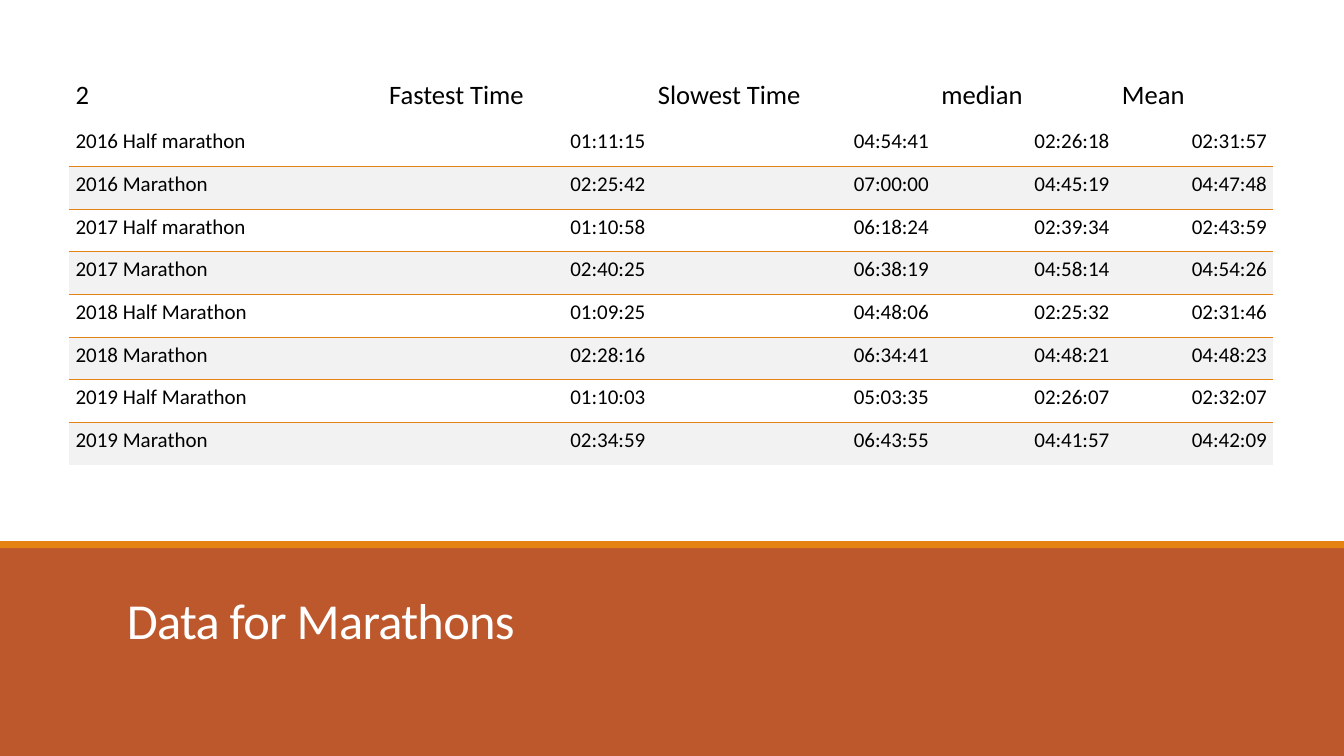
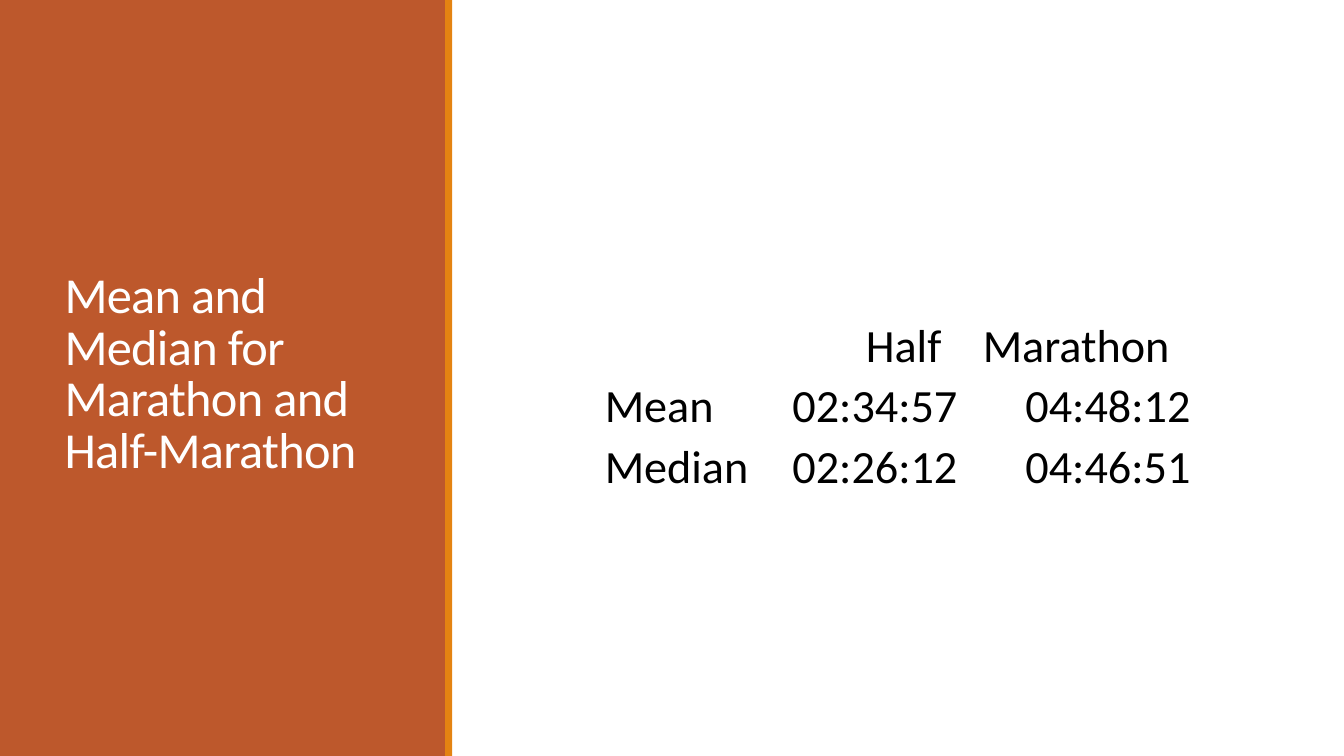
from dataclasses import dataclass
from itertools import accumulate

from lxml.etree import SubElement
from pptx import Presentation
from pptx.dml.color import RGBColor
from pptx.enum.shapes import MSO_SHAPE
from pptx.enum.text import MSO_ANCHOR, PP_ALIGN
from pptx.oxml import parse_xml
from pptx.oxml.ns import nsdecls, qn
from pptx.slide import Slide
from pptx.table import _Cell
from pptx.text.text import TextFrame
from pptx.util import Pt

EMU_PER_PX = 6350  # 144 px to the inch
SLIDE_WIDTH, SLIDE_HEIGHT = 1920, 1080
ACCENT_THICKNESS = 10
FONT = "Calibri"
NO_GRID_STYLE = "{2D5ABB26-0587-4C30-8999-92F81FD0307C}"
COLORS = {
    "band": "BD582C",
    "accent": "E48312",
    "stripe": "F2F2F2",
    "title": "FFFFFF",
    "text": "000000",
}


def px(length: int) -> int:
    return length * EMU_PER_PX


@dataclass(frozen=True)
class Box:
    left: int
    top: int
    width: int
    height: int

    def emu(self) -> tuple[int, int, int, int]:
        return px(self.left), px(self.top), px(self.width), px(self.height)


@dataclass(frozen=True)
class TableDesign:
    """Lengths are px; insets run left, top, right, bottom."""
    left: int
    top: int
    columns: tuple[int, ...]
    header_height: int
    row_height: int
    insets: tuple[int, int, int, int]
    header_size: int
    body_size: int
    header_indents: tuple[int, ...]
    striped: bool = False


@dataclass(frozen=True)
class TitledSlide:
    band: Box
    accent: Box
    title_box: Box
    title_anchor: MSO_ANCHOR
    title: str
    table: TableDesign
    rows: tuple[tuple[str, ...], ...]


SLIDES = (
    TitledSlide(
        band=Box(0, 781, SLIDE_WIDTH, 299),
        accent=Box(0, 773, SLIDE_WIDTH, ACCENT_THICKNESS),
        title_box=Box(167, 806, 1584, 130),
        title_anchor=MSO_ANCHOR.BOTTOM,
        title="Data for Marathons",
        table=TableDesign(
            left=99, top=105, columns=(448, 384, 405, 258, 225),
            header_height=72, row_height=61, insets=(9, 1, 9, 17),
            header_size=19, body_size=15,
            header_indents=(0, 0, 0, 0, 0), striped=True,
        ),
        rows=(
            ("2", "Fastest Time", "Slowest Time", "median", "Mean"),
            ("2016 Half marathon", "01:11:15", "04:54:41", "02:26:18", "02:31:57"),
            ("2016 Marathon", "02:25:42", "07:00:00", "04:45:19", "04:47:48"),
            ("2017 Half marathon", "01:10:58", "06:18:24", "02:39:34", "02:43:59"),
            ("2017 Marathon", "02:40:25", "06:38:19", "04:58:14", "04:54:26"),
            ("2018 Half Marathon", "01:09:25", "04:48:06", "02:25:32", "02:31:46"),
            ("2018 Marathon", "02:28:16", "06:34:41", "04:48:21", "04:48:23"),
            ("2019 Half Marathon", "01:10:03", "05:03:35", "02:26:07", "02:32:07"),
            ("2019 Marathon", "02:34:59", "06:43:55", "04:41:57", "04:42:09"),
        ),
    ),
    TitledSlide(
        band=Box(0, 0, 638, SLIDE_HEIGHT),
        accent=Box(636, 0, ACCENT_THICKNESS, SLIDE_HEIGHT),
        title_box=Box(78, 82, 485, 909),
        title_anchor=MSO_ANCHOR.MIDDLE,
        title="Mean and Median for Marathon and Half-Marathon",
        table=TableDesign(
            left=861, top=415, columns=(239, 271, 333),
            header_height=120, row_height=87, insets=(3, 3, 3, 0),
            header_size=33, body_size=33, header_indents=(0, 134, 30),
        ),
        rows=(
            ("", "Half", "Marathon"),
            ("Mean", "02:34:57", "04:48:12"),
            ("Median", "02:26:12", "04:46:51"),
        ),
    ),
)


def write_text(frame: TextFrame, text: str, *, size: int, color: str = "text",
               align: PP_ALIGN = PP_ALIGN.LEFT, line_spacing: float = 1.0,
               tracking: int = 0) -> None:
    """Tracking is in hundredths of a point."""
    paragraph = frame.paragraphs[0]
    paragraph.alignment = align
    paragraph.line_spacing = line_spacing
    run = paragraph.add_run()
    run.text = text
    run.font.name = FONT
    run.font.size = Pt(size)
    run.font.color.rgb = RGBColor.from_string(COLORS[color])
    if tracking:
        run.font._element.set("spc", str(tracking))


def add_rectangle(slide: Slide, box: Box, color: str) -> None:
    shape = slide.shapes.add_shape(MSO_SHAPE.RECTANGLE, *box.emu())
    shape.shadow.inherit = False
    shape.fill.solid()
    shape.fill.fore_color.rgb = RGBColor.from_string(COLORS[color])
    shape.line.fill.background()


def add_title(slide: Slide, box: Box, text: str, anchor: MSO_ANCHOR) -> None:
    frame = slide.shapes.add_textbox(*box.emu()).text_frame
    frame.word_wrap = True
    frame.vertical_anchor = anchor
    write_text(frame, text, size=36, color="title", line_spacing=0.85, tracking=-50)


def add_top_border(cell: _Cell, color: str) -> None:
    border = parse_xml(f'<a:lnT {nsdecls("a")} w="{Pt(1)}"/>')
    fill = SubElement(border, qn("a:solidFill"))
    SubElement(fill, qn("a:srgbClr")).set("val", COLORS[color])
    cell._tc.get_or_add_tcPr().insert(0, border)


def fill_cell(cell: _Cell, text: str, row: int, column: int, design: TableDesign) -> None:
    is_header = row == 0
    left, top, right, bottom = design.insets
    indent = design.header_indents[column] if is_header else 0
    cell.margin_left, cell.margin_top = px(left + indent), px(top)
    cell.margin_right, cell.margin_bottom = px(right), px(bottom)
    cell.vertical_anchor = MSO_ANCHOR.BOTTOM
    if design.striped and row and row % 2 == 0:
        cell.fill.solid()
        cell.fill.fore_color.rgb = RGBColor.from_string(COLORS["stripe"])
        add_top_border(cell, "accent")
    else:
        cell.fill.background()
    if text:
        write_text(
            cell.text_frame, text,
            size=design.header_size if is_header else design.body_size,
            align=PP_ALIGN.RIGHT if row and column else PP_ALIGN.LEFT,
        )


def add_times_table(slide: Slide, design: TableDesign,
                    rows: tuple[tuple[str, ...], ...]) -> None:
    heights = [design.header_height] + [design.row_height] * (len(rows) - 1)
    box = Box(design.left, design.top, sum(design.columns), sum(heights))
    table = slide.shapes.add_table(len(rows), len(design.columns), *box.emu()).table
    table.first_row = table.horz_banding = False
    table._tbl.tblPr.find(qn("a:tableStyleId")).text = NO_GRID_STYLE
    for column, width in zip(table.columns, design.columns):
        column.width = px(width)
    for row_index, (height, texts) in enumerate(zip(heights, rows)):
        table.rows[row_index].height = px(height)
        for column_index, text in enumerate(texts):
            cell = table.cell(row_index, column_index)
            fill_cell(cell, text, row_index, column_index, design)


def add_titled_slide(presentation: Presentation, content: TitledSlide) -> None:
    slide = presentation.slides.add_slide(presentation.slide_layouts[6])
    add_rectangle(slide, content.band, "band")
    add_title(slide, content.title_box, content.title, content.title_anchor)
    add_rectangle(slide, content.accent, "accent")
    add_times_table(slide, content.table, content.rows)


def main() -> None:
    presentation = Presentation()
    presentation.slide_width = px(SLIDE_WIDTH)
    presentation.slide_height = px(SLIDE_HEIGHT)
    for content in SLIDES:
        add_titled_slide(presentation, content)
    presentation.save("out.pptx")


if __name__ == "__main__":
    main()
